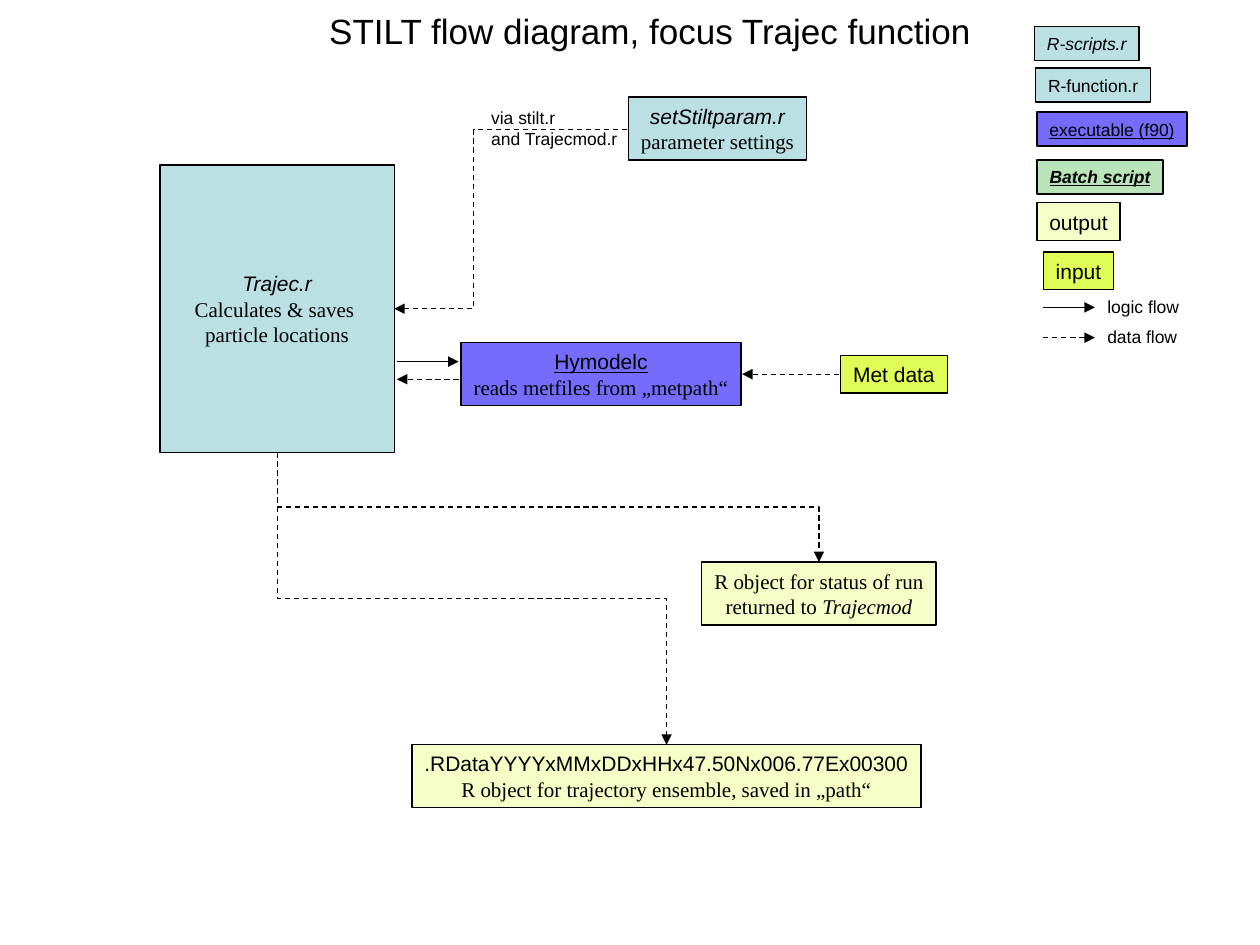
from lxml import etree
from pptx import Presentation, util as u
from pptx.dml import color
from pptx.enum import dml, shapes, text
from pptx.oxml import ns

COLS = 100
CELL = u.Inches(10) // COLS
BLUE, VIOLET, GREEN = "BBE0E3", "756BFD", "BAE4BA"
CREAM, LIME, BLACK = "F5FEC6", "E0FC56", "000000"


def cells(*nums):
    """Turn grid counts into lengths."""
    return [u.Emu(round(n * CELL)) for n in nums]


def hue(code):
    """Turn a hex string into a colour."""
    return color.RGBColor.from_string(code)


def write(shape, lines, size=12, center=True, middle=True, wrap=False, grow=True, inset=1):
    """Fill a shape with lines of (text, style) runs; t is serif, b, i and u as usual."""
    frame = shape.text_frame
    frame.word_wrap = wrap
    frame.auto_size = text.MSO_AUTO_SIZE.SHAPE_TO_FIT_TEXT if grow else text.MSO_AUTO_SIZE.NONE
    frame.vertical_anchor = text.MSO_ANCHOR.MIDDLE if middle else text.MSO_ANCHOR.TOP
    frame.margin_left, frame.margin_right = cells(inset, inset)
    for num, line in enumerate(lines):
        para = frame.add_paragraph() if num else frame.paragraphs[0]
        para.alignment = text.PP_ALIGN.CENTER if center else text.PP_ALIGN.LEFT
        for words, style in line:
            run = para.add_run()
            run.text = words
            font = run.font
            font.name = "Times New Roman" if "t" in style else "Arial"
            font.size = u.Pt(size)
            font.color.rgb = hue(BLACK)
            font.bold, font.italic, font.underline = ("b" in style, "i" in style, "u" in style)


def node(slide, area, spot, fill, lines, **form):
    """Draw a filled process box within an area."""
    x, y, w, h = spot
    box = slide.shapes.add_shape(shapes.MSO_SHAPE.FLOWCHART_PROCESS,
                                 *cells(area[0] + x, area[1] + y, w, h))
    box.shadow.inherit = False
    box.fill.solid()
    box.fill.fore_color.rgb = hue(fill)
    box.line.color.rgb = hue(BLACK)
    box.line.width = u.Pt(0.75)
    write(box, lines, grow=False, inset=0.4, **form)


def label(slide, area, spot, lines):
    """Place a small plain text within an area."""
    x, y, w, h = spot
    box = slide.shapes.add_textbox(*cells(area[0] + x, area[1] + y, w, h))
    write(box, lines, size=10, center=False, middle=False)


def arrow(slide, area, start, end, dash=True, bend=0.5, down=False):
    """Draw an arrow within an area, bent where its ends differ in height."""
    (x1, y1), (x2, y2) = start, end
    flat = y1 == y2
    if down:
        midx, midy, dx, dy = (x1 + x2) / 2, (y1 + y2) / 2, x2 - x1, y2 - y1
        x1, y1, x2, y2 = midx + dy / 2, midy - dx / 2, midx - dy / 2, midy + dx / 2
    kind = shapes.MSO_CONNECTOR.STRAIGHT if flat else shapes.MSO_CONNECTOR.ELBOW
    ax, ay = area[:2]
    link = slide.shapes.add_connector(kind, *cells(ax + x1, ay + y1, ax + x2, ay + y2))
    link.line.color.rgb = hue(BLACK)
    link.line.width = u.Pt(0.75)
    if dash:
        link.line.dash_style = dml.MSO_LINE.DASH
    props = link._element.spPr
    if down:
        props.find(ns.qn("a:xfrm")).set("rot", "16200000")
    if not flat:
        guides = props.find(ns.qn("a:prstGeom")).get_or_add_avLst()
        etree.SubElement(guides, ns.qn("a:gd"), name="adj1", fmla=f"val {round(bend * 100000)}")
    etree.SubElement(props.find(ns.qn("a:ln")), ns.qn("a:tailEnd"), type="triangle")
    etree.SubElement(props, ns.qn("a:effectLst"))


def head(slide, area):
    """Set the title in its area."""
    title = slide.shapes.title
    title.left, title.top, title.width, title.height = cells(*area)
    write(title, [[("STILT flow diagram, focus Trajec function", "")]],
          size=20, wrap=True, grow=False)


def flow(slide, area):
    """Draw the boxes and arrows of the flow."""
    nodes = [
        ((23.9, 19.5, 22.2, 5), VIOLET,
         [[("Hymodelc", "u")], [("reads metfiles from „metpath“", "t")]]),
        ((0, 5.4, 18.6, 22.8), BLUE,
         [[("Trajec.r", "i")], [("Calculates & saves ", "t")], [("particle locations", "t")]]),
        ((37.2, 0, 14.1, 5), BLUE,
         [[("setStiltparam.r", "i")], [("parameter settings", "t")]]),
        ((54, 20.5, 8.5, 3), LIME, [[("Met data", "")]]),
        ((20, 51.4, 40.4, 5), CREAM,
         [[(".RDataYYYYxMMxDDxHHx47.50Nx006.77Ex00300", "")],
          [("R object for trajectory ensemble, saved in „path“", "t")]]),
        ((43, 36.9, 18.6, 5), CREAM,
         [[("R object for status of run", "t")],
          [("returned to ", "t"), ("Trajecmod", "ti")]]),
    ]
    for spot, fill, lines in nodes:
        node(slide, area, spot, fill, lines, wrap=True)
    label(slide, area, (25.3, 0.3, 12, 4.4), [[("via stilt.r", "")], [("and Trajecmod.r", "")]])
    arrow(slide, area, (37.1, 2.6), (18.6, 16.8), bend=0.66)
    arrow(slide, area, (53.9, 22), (46.2, 22))
    arrow(slide, area, (23.7, 22.4), (18.8, 22.4))
    arrow(slide, area, (18.8, 21), (23.7, 21), dash=False)
    for end in [(40.2, 51.4), (52.3, 36.9)]:
        arrow(slide, area, (9.3, 28.2), end, down=True)


def legend(slide, area):
    """Draw the key of box colours and arrow styles."""
    keys = [
        ((0, 0, 8.3, 2.7), BLUE, "R-scripts.r", "i", 10),
        ((0.1, 3.3, 9.1, 2.7), BLUE, "R-function.r", "", 10),
        ((0.2, 6.8, 11.9, 2.7), VIOLET, "executable (f90)", "u", 10),
        ((0.2, 10.6, 10, 2.7), GREEN, "Batch script", "biu", 10),
        ((0.2, 14, 6.6, 3), CREAM, "output", "", 12),
        ((0.7, 17.9, 5.6, 3), LIME, "input", "", 12),
    ]
    for spot, fill, words, style, size in keys:
        node(slide, area, spot, fill, [[(words, style)]], size=size, wrap=True)
    for row, words, dash in [(22.3, "logic flow", False), (24.7, "data flow", True)]:
        arrow(slide, area, (0.7, row), (4.8, row), dash=dash)
        label(slide, area, (4.8, row - 1.4, 7.7, 2.7), [[(words, "")]])


def main():
    """Build and save the slide."""
    deck = Presentation()
    deck.slide_width, deck.slide_height = cells(COLS, 75)
    slide = deck.slides.add_slide(deck.slide_layouts[5])
    head(slide, (6.6, 0, 90, 4.9))
    flow(slide, (12.7, 7.7))
    legend(slide, (82.1, 2.1))
    deck.save("out.pptx")


if __name__ == "__main__":
    main()
